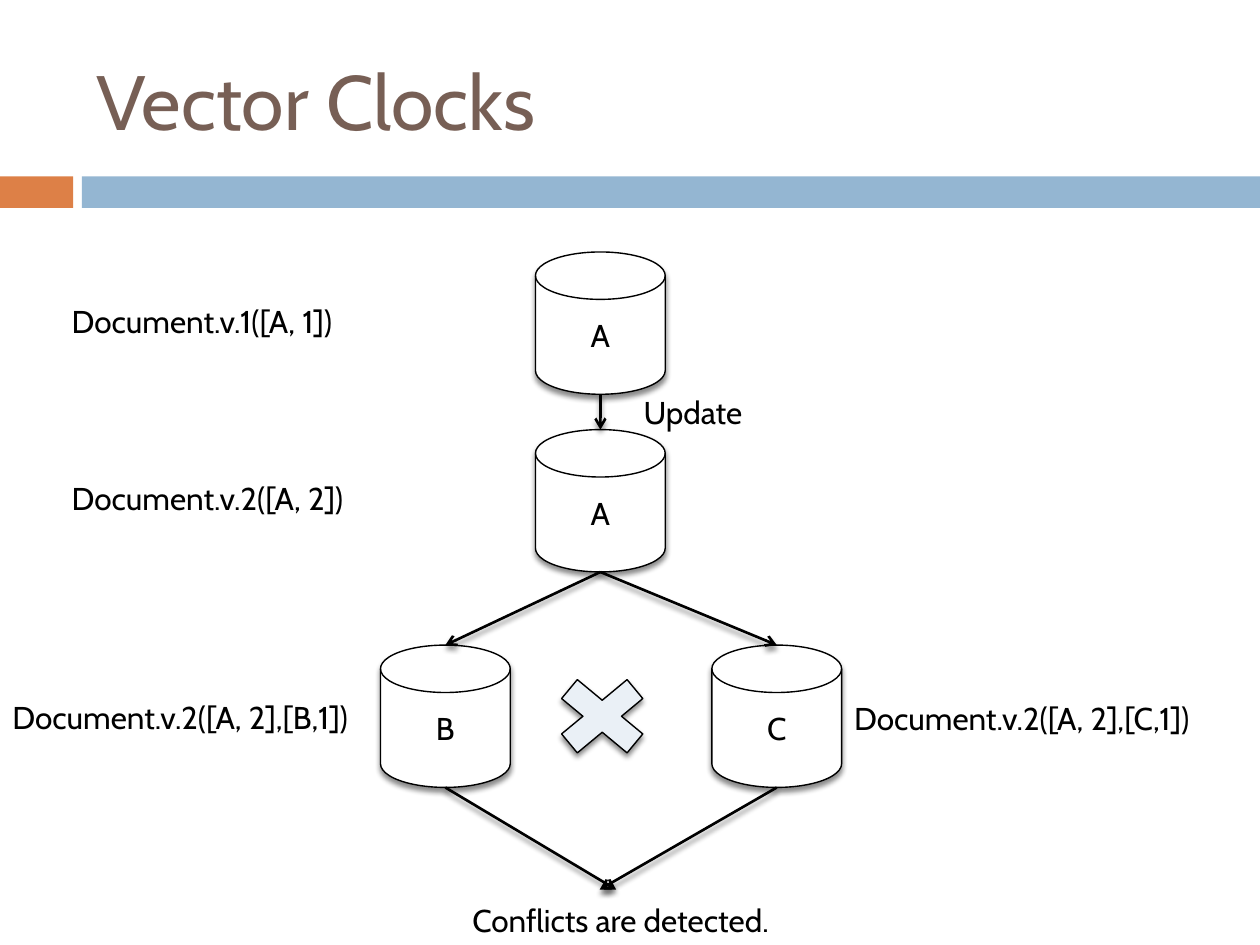
from lxml.etree import SubElement
from pptx import Presentation
from pptx.dml.color import RGBColor
from pptx.enum.shapes import MSO_CONNECTOR, MSO_SHAPE as SHAPE
from pptx.enum.text import MSO_ANCHOR as ANCHOR, MSO_AUTO_SIZE as FIT, PP_ALIGN as ALIGN
from pptx.oxml.ns import qn
from pptx.util import Inches, Pt

FONT = "Cabin"
BLACK = RGBColor(0x00, 0x00, 0x00)
WHITE = RGBColor(0xFF, 0xFF, 0xFF)
BROWN = RGBColor(0x77, 0x5F, 0x55)
ORANGE = RGBColor(0xDD, 0x80, 0x47)
BLUE = RGBColor(0x94, 0xB6, 0xD2)
PALE = RGBColor(0xEA, 0xF0, 0xF6)
DISK_WIDTH, DISK_HEIGHT = 1.03, 1.13


def cast_shadow(item):
    """Give a shape or connector a soft shadow straight below it."""
    effects = SubElement(item._element.spPr, qn("a:effectLst"))
    shadow = SubElement(effects, qn("a:outerShdw"), blurRad="38100", dist="30000",
                        dir="5400000", rotWithShape="0")
    color = SubElement(shadow, qn("a:srgbClr"), val=str(BLACK))
    SubElement(color, qn("a:alpha"), val="45000")


def write(frame, words, size=18, color=BLACK):
    """Put one styled line of text in a frame."""
    frame.text = words
    font = frame.paragraphs[0].runs[0].font
    font.name, font.size, font.color.rgb = FONT, Pt(size), color


def add_label(slide, words, left, top, width):
    """Add a one-line caption that does not wrap."""
    frame = slide.shapes.add_textbox(
        Inches(left), Inches(top), Inches(width), Inches(0.4)).text_frame
    frame.word_wrap = False
    frame.auto_size = FIT.SHAPE_TO_FIT_TEXT
    write(frame, words)


def add_outlined(slide, kind, left, top, width, height, fill):
    """Add a filled shape with a thin black outline and a shadow."""
    outlined = slide.shapes.add_shape(
        kind, Inches(left), Inches(top), Inches(width), Inches(height))
    outlined.fill.solid()
    outlined.fill.fore_color.rgb = fill
    outlined.line.color.rgb = BLACK
    outlined.line.width = Pt(0.79)
    cast_shadow(outlined)
    return outlined


def add_disk(slide, letter, left, top):
    """Add a replica drawn as a disk with its letter."""
    disk = add_outlined(slide, SHAPE.FLOWCHART_MAGNETIC_DISK, left, top,
                        DISK_WIDTH, DISK_HEIGHT, WHITE)
    write(disk.text_frame, letter)
    disk.text_frame.vertical_anchor = ANCHOR.MIDDLE
    disk.text_frame.paragraphs[0].alignment = ALIGN.CENTER


def add_arrow(slide, start, end):
    """Draw a black arrow between two points."""
    arrow = slide.shapes.add_connector(
        MSO_CONNECTOR.STRAIGHT, *(Inches(value) for value in (*start, *end)))
    arrow.line.color.rgb = BLACK
    arrow.line.width = Pt(1.5)
    SubElement(arrow.line._get_or_add_ln(), qn("a:tailEnd"), type="arrow")
    cast_shadow(arrow)


def add_header(slide, left, top, width):
    """Add the title above a two-coloured band."""
    for offset, length, color in ((0, 0.58, ORANGE), (0.65, width - 0.65, BLUE)):
        band = slide.shapes.add_shape(SHAPE.RECTANGLE, Inches(left + offset),
                                      Inches(top + 1.4), Inches(length), Inches(0.25))
        band.shadow.inherit = False
        band.fill.solid()
        band.fill.fore_color.rgb = color
        band.line.fill.background()
    title = slide.shapes.add_textbox(Inches(left + 0.67), Inches(top + 0.25),
                                     Inches(8.92), Inches(1.08)).text_frame
    title.word_wrap = True
    title.vertical_anchor = ANCHOR.MIDDLE
    write(title, "Vector Clocks", 44, BROWN)


def add_history(slide, left, top):
    """Add the version tree, from the first write to the conflict."""
    root = (left + 4.25, top)
    updated = (left + 4.25, top + 1.41)
    branch_b = (left + 3.02, top + 3.12)
    branch_c = (left + 5.65, top + 3.12)
    for letter, place in zip("AABC", (root, updated, branch_b, branch_c)):
        add_disk(slide, letter, *place)

    def head(disk):
        """Return the top centre of a disk."""
        return disk[0] + DISK_WIDTH / 2, disk[1]

    def foot(disk):
        """Return the bottom centre of a disk."""
        return disk[0] + DISK_WIDTH / 2, disk[1] + DISK_HEIGHT

    for start, end in (
        (foot(root), head(updated)),
        (foot(updated), head(branch_b)),
        (foot(updated), head(branch_c)),
        (foot(branch_b), (left + 4.89, top + 5.06)),
        (foot(branch_c), (left + 4.76, top + 5.06)),
    ):
        add_arrow(slide, start, end)

    add_outlined(slide, SHAPE.MATH_MULTIPLY, left + 4.28, top + 3.27, 1, 0.83, PALE)
    for words, x, y, width in (
        ("Document.v.1([A, 1])", 0.47, 0.35, 2.5),
        ("Document.v.2([A, 2])", 0.47, 1.75, 2.5),
        ("Update", 5.01, 1.07, 1.02),
        ("Document.v.2([A, 2],[B,1])", 0, 3.49, 3.09),
        ("Document.v.2([A, 2],[C,1])", 6.68, 3.5, 3.09),
        ("Conflicts are detected.", 3.65, 5.1, 2.71),
    ):
        add_label(slide, words, left + x, top + y, width)


def main():
    """Build and save the slide."""
    deck = Presentation()
    deck.slide_width, deck.slide_height = Inches(10), Inches(7.5)
    slide = deck.slides.add_slide(deck.slide_layouts[6])
    add_header(slide, 0, 0, 10)
    add_history(slide, 0, 2)
    deck.save("out.pptx")


main()
